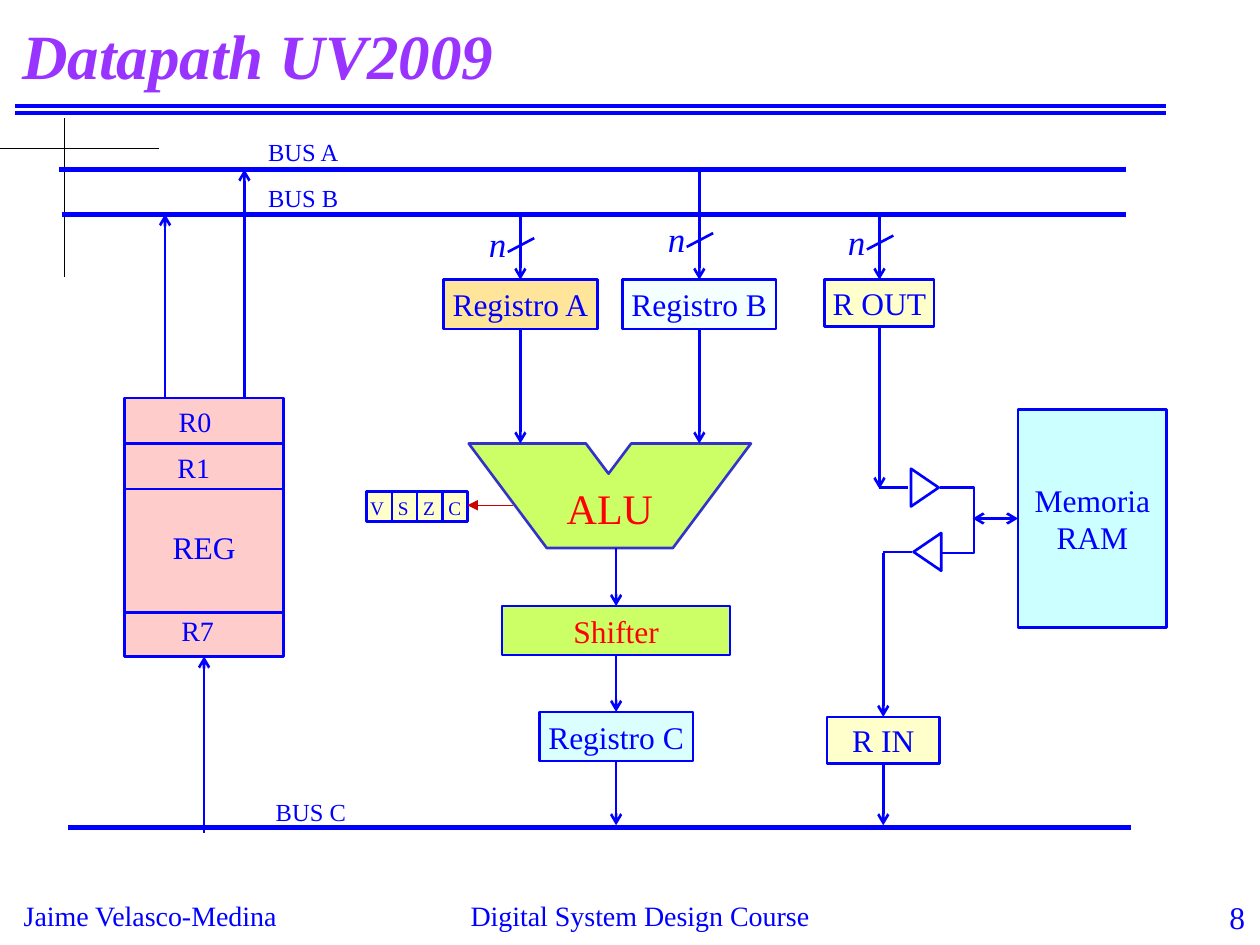
from lxml import etree
from pptx import Presentation
from pptx import util as u
from pptx.dml.color import RGBColor
from pptx.enum import shapes, text
from pptx.oxml.ns import qn

BLUE = RGBColor(0x00, 0x00, 0xFF)
INDIGO = RGBColor(0x33, 0x33, 0xCC)
PURPLE = RGBColor(0x99, 0x33, 0xFF)
RED = RGBColor(0xFF, 0x00, 0x00)
CRIMSON = RGBColor(0xCC, 0x00, 0x00)
BLACK = RGBColor(0x00, 0x00, 0x00)
AMBER = RGBColor(0xFF, 0xC0, 0x00)
CREAM = RGBColor(0xFF, 0xFF, 0xCC)
AQUA = RGBColor(0xCC, 0xFF, 0xFF)
LIME = RGBColor(0xCC, 0xFF, 0x66)
LEFT, CENTER, RIGHT = text.PP_ALIGN.LEFT, text.PP_ALIGN.CENTER, text.PP_ALIGN.RIGHT
RECT, TRIANGLE = shapes.MSO_SHAPE.RECTANGLE, shapes.MSO_SHAPE.ISOSCELES_TRIANGLE
STRAIGHT, ELBOW = shapes.MSO_CONNECTOR.STRAIGHT, shapes.MSO_CONNECTOR.ELBOW
TOP, WEST, BOTTOM = 0, 1, 2

deck = Presentation()
deck.slide_width, deck.slide_height = u.Inches(10), u.Inches(7.5)
COL, ROW = deck.slide_width / 100, deck.slide_height / 75
page = deck.slides.add_slide(deck.slide_layouts[6])


def write(box, words, size, color=BLUE, align=CENTER, wrap=True):
    frame = box.text_frame
    frame.text = words
    frame.word_wrap = wrap
    for para in frame.paragraphs:
        para.alignment = align
        para.font.name = "Times New Roman"
        para.font.size = u.Pt(size)
        para.font.color.rgb = color
    return frame


def wire(start, end, color=BLUE, weight=1.5, head=None, tail=None, kind=STRAIGHT):
    points = [(0, 0) if hasattr(place[0], "shape_id") else place for place in (start, end)]
    (x1, y1), (x2, y2) = points
    line = page.shapes.add_connector(
        kind, int(x1 * COL), int(y1 * ROW), int(x2 * COL), int(y2 * ROW))
    if hasattr(start[0], "shape_id"):
        line.begin_connect(*start)
    if hasattr(end[0], "shape_id"):
        line.end_connect(*end)
    line.line.color.rgb = color
    line.line.width = u.Pt(weight)
    for tag, arrow in (("a:headEnd", head), ("a:tailEnd", tail)):
        if arrow:
            etree.SubElement(line.line._get_or_add_ln(), qn(tag), type=arrow)
    etree.SubElement(line._element.spPr, qn("a:effectLst"))
    return line


BUS_A, BUS_B, BUS_C = 13.45, 17, 65.7
COL_A, COL_B, COL_OUT, COL_IN, CORE = 41.3, 55.5, 69.8, 70.1, 48.9
BANK_LEFT, BANK_RIGHT, BANK_TOP = 9.9, 22.5, 31.6

for row in (8.4, 9):
    wire((1.2, row), (92.5, row), weight=2.25)
wire((0, 11.8), (12.6, 11.8), BLACK, 0.75)
wire((5.1, 9.4), (5.1, 22), BLACK, 0.75)
for left, right, row in ((4.7, 89.4, BUS_A), (4.9, 89.4, BUS_B), (5.4, 89.8, BUS_C)):
    wire((left, row), (right, row), weight=3)

blocks = {}
for words, center, top, width, height, fill, opacity, ink in (
    ("Registro A", COL_A, 22.2, 12.2, 3.9, AMBER, 40, BLUE),
    ("Registro B", COL_B, 22.2, 12.2, 3.9, AQUA, 20, BLUE),
    ("R OUT", COL_OUT, 22.2, 8.7, 3.7, CREAM, 100, BLUE),
    ("Memoria\nRAM", 86.7, 32.5, 11.8, 17.3, AQUA, 100, BLUE),
    ("R IN", COL_IN, 56.9, 8.9, 3.7, CREAM, 100, BLUE),
    ("Shifter", CORE, 48.1, 18.1, 3.9, LIME, 100, RED),
    ("Registro C", CORE, 56.5, 12.2, 3.9, AQUA, 70, BLUE),
    ("REG", 16.2, BANK_TOP, 12.6, 20.5, RED, 20, BLUE),
    ("", 33.1, 39, 8, 2.4, CREAM, 100, BLUE),
):
    block = page.shapes.add_shape(
        RECT, int((center - width / 2) * COL), int(top * ROW), int(width * COL), int(height * ROW))
    block.shadow.inherit = False
    block.fill.solid()
    block.fill.fore_color.rgb = fill
    block.line.color.rgb = BLUE
    block.line.width = u.Pt(1.5)
    if opacity < 100:
        tint = block._element.spPr.find(qn("a:solidFill"))[0]
        etree.SubElement(tint, qn("a:alpha"), val=str(opacity * 1000))
    if words:
        write(block, words, 18, ink, wrap=False)
    blocks[words] = block
blocks["REG"].text_frame.margin_top = int(3.6 * ROW)

outline = page.shapes.build_freeform(372, 352, scale=(COL / 10, ROW / 10))
outline.add_line_segments(
    [(465, 352), (483, 376), (501, 352), (596, 352), (534, 435), (434, 435)], close=True)
alu = outline.convert_to_shape()
alu.shadow.inherit = False
alu.fill.solid()
alu.fill.fore_color.rgb = LIME
alu.line.color.rgb = INDIGO
alu.line.width = u.Pt(1.5)

for left, top, turn in ((71.9, 37.6, 90), (72.1, 42.7, 270)):
    buffer = page.shapes.add_shape(
        TRIANGLE, int(left * COL), int(top * ROW), int(3 * COL), int(2.2 * ROW))
    buffer.rotation = turn
    buffer.shadow.inherit = False
    buffer.fill.background()
    buffer.line.color.rgb = BLUE
    buffer.line.width = u.Pt(1.5)

for center, bus, slash, name in (
    (COL_A, BUS_B, 20, "Registro A"),
    (COL_B, BUS_A, 19.6, "Registro B"),
    (COL_OUT, BUS_B, 19.8, "R OUT"),
):
    wire((center, bus), (blocks[name], TOP), tail="arrow")
    wire((center - 1, slash), (center + 1.1, slash - 1.1))
    width_mark = page.shapes.add_textbox(
        int((center - 2.5) * COL), int((slash - 1.4) * ROW), int(1.4 * COL), int(2.3 * ROW))
    frame = write(width_mark, "n", 20, align=LEFT)
    frame.margin_left = frame.margin_right = frame.margin_top = frame.margin_bottom = 0
    frame.paragraphs[0].line_spacing = 0.7
    frame.paragraphs[0].font.italic = True

for start, end in (
    ((blocks["Registro A"], BOTTOM), (COL_A, 35.2)),
    ((blocks["Registro B"], BOTTOM), (COL_B, 35.2)),
    ((blocks["R OUT"], BOTTOM), (COL_OUT, 38.8)),
    ((COL_IN, 43.9), (blocks["R IN"], TOP)),
    ((blocks["R IN"], BOTTOM), (COL_IN, 65.5)),
    ((CORE, 43.5), (blocks["Shifter"], TOP)),
    ((blocks["Shifter"], BOTTOM), (blocks["Registro C"], TOP)),
    ((blocks["Registro C"], BOTTOM), (CORE, 65.5)),
    ((16.2, 66.1), (blocks["REG"], BOTTOM)),
    ((13.1, BANK_TOP), (13.1, BUS_B)),
    ((19.4, BANK_TOP), (19.4, BUS_A)),
):
    wire(start, end, tail="arrow")

wire((72.1, 38.7), (COL_OUT, 38.7))
wire((72.4, 43.8), (COL_IN, 43.8))
wire((blocks["Memoria\nRAM"], WEST), (77.2, 41.15), head="arrow", tail="arrow")
wire((37.1, 40.1), (40.7, 40.1), CRIMSON, 0.75, head="triangle")
bracket = wire((74.8, 43.9), (74.6, 38.7), kind=ELBOW)
bends = bracket._element.spPr.find(qn("a:prstGeom")).get_or_add_avLst()
etree.SubElement(bends, qn("a:gd"), name="adj1", fmla="val -1250000")

for row in (35.2, 38.8, 48.6):
    wire((BANK_LEFT, row), (BANK_RIGHT, row))
for column in (31.1, 33.1, 35.1):
    wire((column, 39), (column, 41.4))

for words, left, top, width, height, size, color, align in (
    ("Datapath UV2009", 0.8, 0.8, 91.7, 7.5, 36, PURPLE, LEFT),
    ("BUS A", 20.3, 10.4, 9.3, 3.4, 14, BLUE, LEFT),
    ("BUS B", 20.3, 14, 9.3, 3.4, 14, BLUE, LEFT),
    ("BUS C", 20.9, 62.8, 9.3, 3.4, 14, BLUE, LEFT),
    ("R0", 13.2, 31.6, 7.5, 3.7, 16, BLUE, LEFT),
    ("R1", 13.1, 35.3, 7.5, 3.7, 16, BLUE, LEFT),
    ("R7", 13.4, 48.2, 7.5, 3.7, 16, BLUE, LEFT),
    ("ALU", 41.5, 37.8, 13.8, 5, 24, RED, CENTER),
    ("V\tS\tZ\tC", 28.4, 38.9, 9.4, 2.9, 11, BLUE, LEFT),
    ("Jaime Velasco-Medina", 0.9, 70.8, 24, 3.7, 16, BLUE, LEFT),
    ("Digital System Design Course", 33.3, 70.8, 35, 3.3, 16, BLUE, CENTER),
    ("8", 92.9, 70.8, 6.9, 3.3, 18, BLUE, RIGHT),
):
    label = page.shapes.add_textbox(
        int(left * COL), int(top * ROW), int(width * COL), int(height * ROW))
    para = write(label, words, size, color, align).paragraphs[0]
    if "\t" in words:
        stops = etree.Element(qn("a:tabLst"))
        for column in (2.2, 4.2, 6.2):
            etree.SubElement(stops, qn("a:tab"), pos=str(int(column * COL)), algn="l")
        para._p.get_or_add_pPr().insert(0, stops)
    if size == 36:
        para.font.bold = para.font.italic = True

deck.save("out.pptx")
